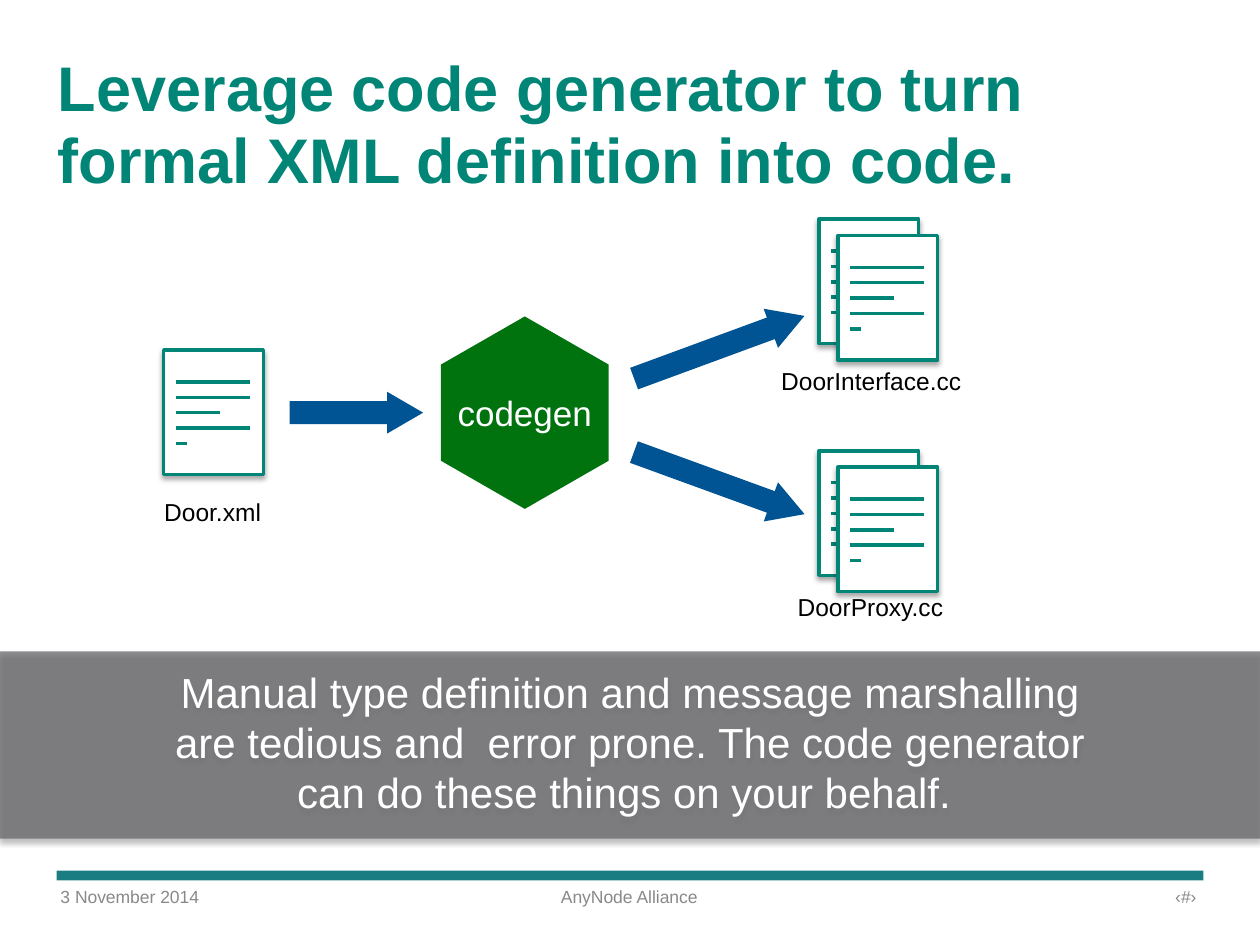
from lxml.etree import SubElement
from pptx import Presentation
from pptx.dml.color import RGBColor
from pptx.enum.shapes import MSO_CONNECTOR as Connector, MSO_SHAPE as Preset
from pptx.enum.text import MSO_ANCHOR as Anchor, PP_ALIGN as Align
from pptx.oxml.ns import qn
from pptx.util import Cm, Pt

# Content (lengths in cm)
TITLE = "Leverage code generator to turn formal XML definition into code."
MESSAGE = ("Manual type definition and message marshalling are tedious and  error prone. "
           "The code generator can do these things on your behalf. ")
FOOTERS = [("3 November 2014", 1.09, Align.LEFT),
           ("AnyNode Alliance", 9.55, Align.CENTER),
           ("‹#›", 17.98, Align.RIGHT)]
# Each entry is a pile of pages: left, top, number of pages
DOCUMENTS = [(3.3, 7.06, 1), (16.51, 4.42, 2), (16.51, 9.09, 2)]
# Text, left, top, width, inset
LABELS = [("Door.xml", 3.18, 9.88, 2.24, 0.13),
          ("DoorInterface.cc", 15.75, 7.37, 3.91, 0),
          ("DoorProxy.cc", 16.08, 11.94, 3.23, 0)]
# Left, top, width, rotation
ARROWS = [(5.84, 7.9, 2.69, 0), (12.67, 6.58, 3.66, -20.2), (12.67, 9.32, 3.66, 20)]
HEXAGON = (8.89, 6.38, 3.38, 3.88)
SHEET_SIZE = (2.01, 2.51)
SHEET_SHIFT = (0.38, 0.33)
LINE_WIDTHS = [1.49, 1.49, 0.88, 1.49, 0.22]

TEAL, GREEN, BLUE, WHITE = "008576", "00720E", "005493", "FFFFFF"
GREY, BAND, RULE, BLACK = "898989", "605F62", "006F74", "000000"


def color(code):
    return RGBColor.from_string(code)


def set_alpha(fill_holder, percent):
    """Make the solid fill inside a shape or line element translucent."""
    clr = fill_holder.find(qn("a:solidFill")).find(qn("a:srgbClr"))
    SubElement(clr, qn("a:alpha"), val=str(percent * 1000))


def style(shape, fill, outline=None, shadow=False):
    shape.fill.solid()
    shape.fill.fore_color.rgb = color(fill)
    if outline:
        shape.line.color.rgb = color(outline)
        shape.line.width = Pt(2)
    else:
        shape.line.fill.background()
    shape.shadow.inherit = False
    if shadow:
        effects = shape._element.spPr.find(qn("a:effectLst"))
        outer = SubElement(effects, qn("a:outerShdw"), blurRad=str(Pt(3)),
                           dist=str(Pt(1.8)), dir="5400000", rotWithShape="0")
        clr = SubElement(outer, qn("a:srgbClr"), val=BLACK)
        SubElement(clr, qn("a:alpha"), val="35000")


def write(shape, text, size, ink, align=Align.LEFT, insets=(0.13,) * 4,
          anchor=Anchor.TOP, wrap=True, bold=False, spacing=None):
    frame = shape.text_frame
    frame.word_wrap = wrap
    frame.vertical_anchor = anchor
    (frame.margin_left, frame.margin_top,
     frame.margin_right, frame.margin_bottom) = [Cm(inset) for inset in insets]
    para = frame.paragraphs[0]
    para.alignment = align
    if spacing:
        para.line_spacing = spacing
    span = para.add_run()
    span.text = text
    span.font.name = "Arial"
    span.font.size = Pt(size)
    span.font.bold = bold
    span.font.color.rgb = color(ink)


def add_text(left, top, width, height, *args, **options):
    box = page.shapes.add_textbox(Cm(left), Cm(top), Cm(width), Cm(height))
    write(box, *args, **options)


def add_line(shapes, left, top, width, ink, weight):
    line = shapes.add_connector(Connector.STRAIGHT, Cm(left), Cm(top),
                                Cm(left + width), Cm(top))
    line.line.color.rgb = color(ink)
    line.line.width = Pt(weight)
    SubElement(line._element.spPr, qn("a:effectLst"))
    return line


def add_document(left, top, count):
    group = page.shapes.add_group_shape()
    for number in range(count):
        x = left + number * SHEET_SHIFT[0]
        y = top + number * SHEET_SHIFT[1]
        sheet = group.shapes.add_shape(Preset.RECTANGLE, Cm(x), Cm(y),
                                       *map(Cm, SHEET_SIZE))
        style(sheet, WHITE, TEAL, shadow=True)
        for row, width in enumerate(LINE_WIDTHS):
            add_line(group.shapes, x + 0.25, y + 0.64 + 0.31 * row, width, TEAL, 2)


deck = Presentation()
deck.slide_width, deck.slide_height = Cm(25.4), Cm(19.05)
page = deck.slides.add_slide(deck.slide_layouts[6])

# Footer rule and texts
rule = add_line(page.shapes, 1.14, 17.65, 23.12, RULE, 5.5)
set_alpha(rule._element.spPr.find(qn("a:ln")), 90)
for text, left, align in FOOTERS:
    add_text(left, 17.73, 6.27, 0.64, text, 10, GREY, align)

# Title
add_text(1.04, 0.97, 23.42, 3.48, TITLE, 36, TEAL, bold=True, spacing=0.95)

# Source and generated files
for document in DOCUMENTS:
    add_document(*document)

# Code generator hexagon
left, top, width, height = HEXAGON
middle, right, bottom = left + width / 2, left + width, top + height
upper, lower = top + height / 4, bottom - height / 4
corners = [(right, upper), (right, lower), (middle, bottom), (left, lower), (left, upper)]
builder = page.shapes.build_freeform(Cm(middle), Cm(top))
builder.add_line_segments([(Cm(x), Cm(y)) for x, y in corners], close=True)
hexagon = builder.convert_to_shape()
style(hexagon, GREEN)
write(hexagon, "codegen", 20, WHITE, Align.CENTER, anchor=Anchor.MIDDLE)

# Flow arrows
for left, top, width, angle in ARROWS:
    arrow = page.shapes.add_shape(Preset.RIGHT_ARROW, Cm(left), Cm(top), Cm(width), Cm(0.84))
    arrow.adjustments[0], arrow.adjustments[1] = 0.55, 0.86
    arrow.rotation = angle
    style(arrow, BLUE)

# File names
for text, left, top, width, inset in LABELS:
    add_text(left, top, width, 0.81, text, 14, BLACK, insets=(inset,) * 4, wrap=False)

# Message band
band = page.shapes.add_shape(Preset.RECTANGLE, 0, Cm(13.13), deck.slide_width, Cm(3.78))
style(band, BAND, shadow=True)
set_alpha(band._element.spPr, 70)
write(band, MESSAGE, 24, WHITE, Align.CENTER, insets=(3, 0.3, 3, 0.41))

deck.save("out.pptx")
